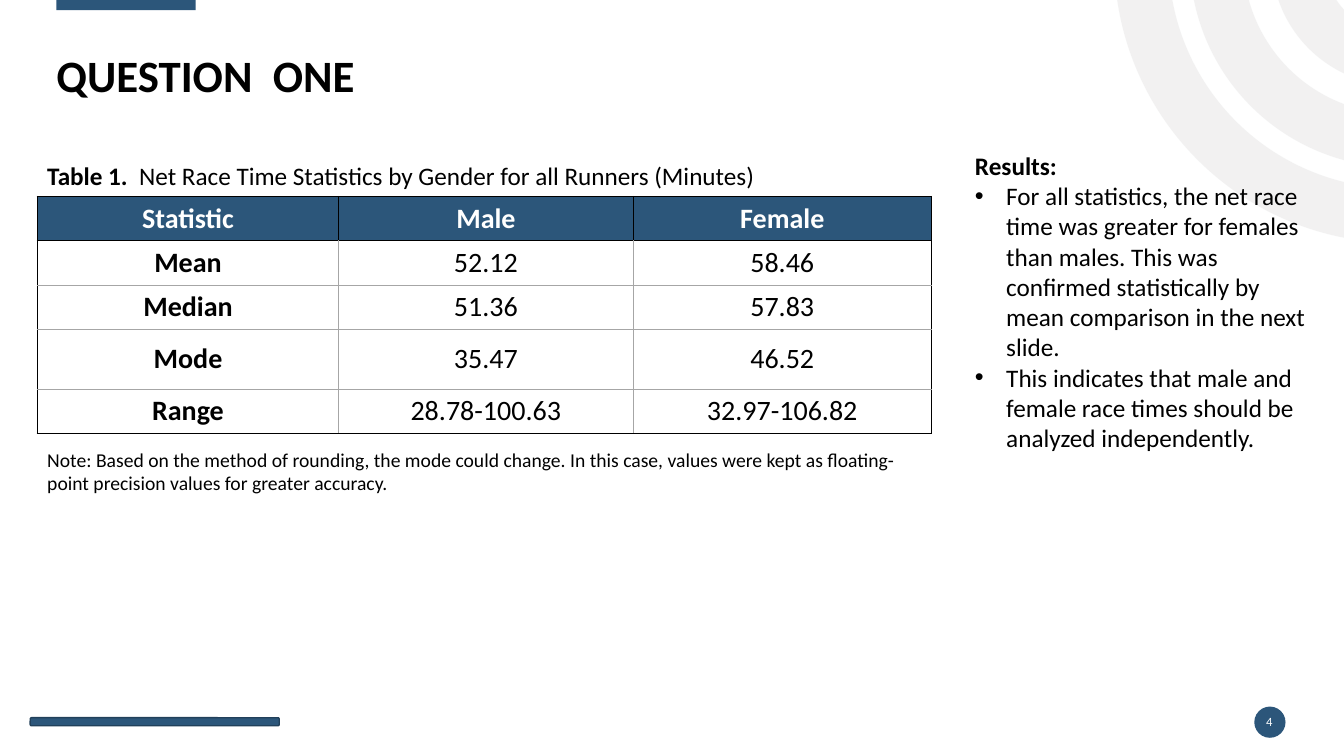
from math import cos, radians, sin, tan

from lxml.etree import SubElement
from pptx import Presentation
from pptx.dml.color import RGBColor
from pptx.enum.shapes import MSO_SHAPE
from pptx.enum.text import MSO_ANCHOR, MSO_AUTO_SIZE, PP_ALIGN
from pptx.oxml.ns import qn
from pptx.util import Inches, Pt

NAVY = RGBColor(0x2C, 0x56, 0x7A)
DARK_NAVY = RGBColor(0x21, 0x40, 0x5A)
BLACK = RGBColor(0, 0, 0)
WHITE = RGBColor(255, 255, 255)
RING_GREY = RGBColor(0xE7, 0xE6, 0xE6)
RULE_GREY = RGBColor(0xA6, 0xA6, 0xA6)
FONT = "Calibri"

RING_TURN = 144.2
RINGS = [(2.82, 2.28, 12, 277), (2.07, 1.54, 58, 233), (1.26, 0.74, 95, 185)]
STATISTICS = [
    ("Statistic", "Male", "Female"),
    ("Mean", "52.12", "58.46"),
    ("Median", "51.36", "57.83"),
    ("Mode", "35.47", "46.52"),
    ("Range", "28.78-100.63", "32.97-106.82"),
]
COL_WIDTHS = [2.99, 2.92, 2.96]
ROW_HEIGHTS = [0.44, 0.44, 0.44, 0.59, 0.44]
RESULTS = [
    "Results:",
    "For all statistics, the net race time was greater for females than males. "
    "This was confirmed statistically by mean comparison in the next slide.",
    "This indicates that male and female race times should be analyzed independently.",
]


def style(r, size, color=BLACK, bold=False):
    """Format one run."""
    r.font.name, r.font.size, r.font.bold = FONT, Pt(size), bold
    r.font.color.rgb = color


def place(sp, box):
    """Move a shape to a box given in inches."""
    sp.left, sp.top, sp.width, sp.height = (Inches(v) for v in box)


def clear_margins(tf):
    """Remove the inner margins of a text frame."""
    tf.margin_left = tf.margin_right = tf.margin_top = tf.margin_bottom = 0


def add_filled(s, kind, box, line=None):
    """Add a navy preset shape."""
    sp = s.shapes.add_shape(kind, *(Inches(v) for v in box))
    sp.shadow.inherit = False
    sp.fill.solid()
    sp.fill.fore_color.rgb = NAVY
    if line is None:
        sp.line.fill.background()
    else:
        sp.line.color.rgb, sp.line.width = line, Pt(1)


def add_text(s, box, parts, size, color=BLACK, wrap=True):
    """Add a one-paragraph text box from (text, bold) parts."""
    tf = s.shapes.add_textbox(*(Inches(v) for v in box)).text_frame
    tf.word_wrap = wrap
    for text, bold in parts:
        r = tf.paragraphs[0].add_run()
        r.text = text
        style(r, size, color, bold)
    return tf


def turn(point, degrees):
    """Rotate a point about the zero point."""
    (x, y), a = point, radians(degrees)
    return x * cos(a) - y * sin(a), x * sin(a) + y * cos(a)


def arc_points(radius, start, end, pieces=4):
    """Return the Bezier points of an arc, its first point included."""
    step = radians(end - start) / pieces
    pull = 4 / 3 * tan(step / 4)
    points = [(radius * cos(radians(start)), radius * sin(radians(start)))]
    for i in range(pieces):
        a = radians(start) + i * step
        b = a + step
        points += [
            (radius * (cos(a) - pull * sin(a)), radius * (sin(a) + pull * cos(a))),
            (radius * (cos(b) + pull * sin(b)), radius * (sin(b) - pull * cos(b))),
            (radius * cos(b), radius * sin(b)),
        ]
    return points


def add_ring(s, cx, cy, outer, inner, start, end):
    """Draw one open ring as a turned curved band."""
    start, end = start - RING_TURN, end - RING_TURN
    points = arc_points(outer, start, end) + arc_points(inner, end, start)
    xs, ys = zip(*points)
    middle = (min(xs) + max(xs)) / 2, (min(ys) + max(ys)) / 2
    points = [(Inches(x), Inches(y)) for x, y in points]
    fb = s.shapes.build_freeform(*points[0])
    fb.add_line_segments(points[1:], close=True)
    sp = fb.convert_to_shape()
    dx, dy = turn(middle, RING_TURN)
    sp.left = Inches(cx + dx) - sp.width // 2
    sp.top = Inches(cy + dy) - sp.height // 2
    sp.rotation = RING_TURN
    lines = sp._element.findall(".//" + qn("a:lnTo"))
    half = len(lines) // 2
    for arc in (lines[:half], lines[half + 1:]):
        for i in range(0, len(arc), 3):
            arc[i].addprevious(curve := arc[i].makeelement(qn("a:cubicBezTo")))
            for ln in arc[i:i + 3]:
                curve.append(ln[0])
                ln.getparent().remove(ln)
    sp.shadow.inherit = False
    sp.fill.solid()
    sp.fill.fore_color.rgb = RING_GREY
    color = sp._element.spPr.find(qn("a:solidFill"))[0]
    SubElement(color, qn("a:alpha"), val="53000")
    sp.line.fill.background()
    s.shapes._spTree.insert(2, sp._element)


def add_title(s, box):
    """Fill the title placeholder."""
    sp = s.shapes.title
    place(sp, box)
    tf = sp.text_frame
    tf.text = "QUESTION  ONE"
    clear_margins(tf)
    tf.vertical_anchor = MSO_ANCHOR.BOTTOM
    p = tf.paragraphs[0]
    p.alignment, p.line_spacing = PP_ALIGN.LEFT, 0.9
    style(p.runs[0], 32, bold=True)


def set_border(cell, side, color, width):
    """Draw one edge of a table cell."""
    ln = SubElement(cell._tc.get_or_add_tcPr(), qn(f"a:ln{side}"), w=str(Pt(width)))
    SubElement(SubElement(ln, qn("a:solidFill")), qn("a:srgbClr"), val=str(color))


def add_statistics(s, left, top):
    """Add the table with its caption and note."""
    add_text(s, (left, top, 7.36, 0.4),
             [("Table 1.  ", True),
              ("Net Race Time Statistics by Gender for all Runners (Minutes)", False)],
             18, wrap=False)
    last_row, last_col = len(ROW_HEIGHTS) - 1, len(COL_WIDTHS) - 1
    box = (left, top + 0.41, sum(COL_WIDTHS), sum(ROW_HEIGHTS))
    table = s.shapes.add_table(last_row + 1, last_col + 1,
                               *(Inches(v) for v in box)).table
    table.first_row = table.horz_banding = False
    for col, width in zip(table.columns, COL_WIDTHS):
        col.width = Inches(width)
    for row, height in zip(table.rows, ROW_HEIGHTS):
        row.height = Inches(height)
    for i, values in enumerate(STATISTICS):
        for j, value in enumerate(values):
            cell = table.cell(i, j)
            head = i == 0
            strong = {"L": head or j == 0, "R": head or j == last_col,
                      "T": i <= 1, "B": head or i == last_row}
            for side, is_strong in strong.items():
                set_border(cell, side, *((BLACK, 1) if is_strong else (RULE_GREY, 0.5)))
            if head:
                cell.fill.solid()
                cell.fill.fore_color.rgb = NAVY
            else:
                cell.fill.background()
            cell.vertical_anchor = MSO_ANCHOR.MIDDLE
            cell.text_frame.text = value
            p = cell.text_frame.paragraphs[0]
            p.alignment = PP_ALIGN.CENTER
            style(p.runs[0], 20, WHITE if head else BLACK, head or j == 0)
    add_text(s, (left, top + 2.85, 8.79, 0.57),
             [("Note: Based on the method of rounding, the mode could change. In this case, "
               "values were kept as floating-point precision values for greater accuracy.",
               False)], 14)


def add_results(s, box):
    """Fill the body placeholder with a heading and bullets."""
    sp = s.placeholders[1]
    place(sp, box)
    tf = sp.text_frame
    tf.text = "\n".join(RESULTS)
    tf.auto_size = MSO_AUTO_SIZE.NONE
    for i, p in enumerate(tf.paragraphs):
        p.space_before = Pt(0)
        style(p.runs[0], 18, bold=i == 0)
        pPr = p._p.get_or_add_pPr()
        indent = Inches(0.31) if i else 0
        pPr.set("marL", str(indent))
        pPr.set("indent", str(-indent))
        if i:
            SubElement(pPr, qn("a:buFont"), typeface="Arial")
            SubElement(pPr, qn("a:buChar"), char="•")
        else:
            SubElement(pPr, qn("a:buNone"))


def add_footer(s, left, top):
    """Add the footer bar and the slide number badge."""
    add_filled(s, MSO_SHAPE.ROUNDED_RECTANGLE, (left, top + 0.11, 2.47, 0.08), DARK_NAVY)
    add_filled(s, MSO_SHAPE.OVAL, (left + 12.14, top, 0.31, 0.31))
    tf = add_text(s, (left + 12.13, top + 0.05, 0.32, 0.2), [("4", False)], 9, WHITE)
    clear_margins(tf)
    tf.vertical_anchor = MSO_ANCHOR.MIDDLE
    tf.paragraphs[0].alignment = PP_ALIGN.CENTER


prs = Presentation()
prs.slide_width, prs.slide_height = Inches(13.33), Inches(7.5)
s = prs.slides.add_slide(prs.slide_layouts[1])
for ring in RINGS:
    add_ring(s, 13.87, -0.41, *ring)
add_filled(s, MSO_SHAPE.RECTANGLE, (0.56, -0.02, 1.38, 0.12))
add_title(s, (0.56, 0, 12.19, 1.01))
add_statistics(s, 0.37, 1.54)
add_results(s, (9.57, 1.44, 3.62, 3.13))
add_footer(s, 0.3, 7.01)
prs.save("out.pptx")
